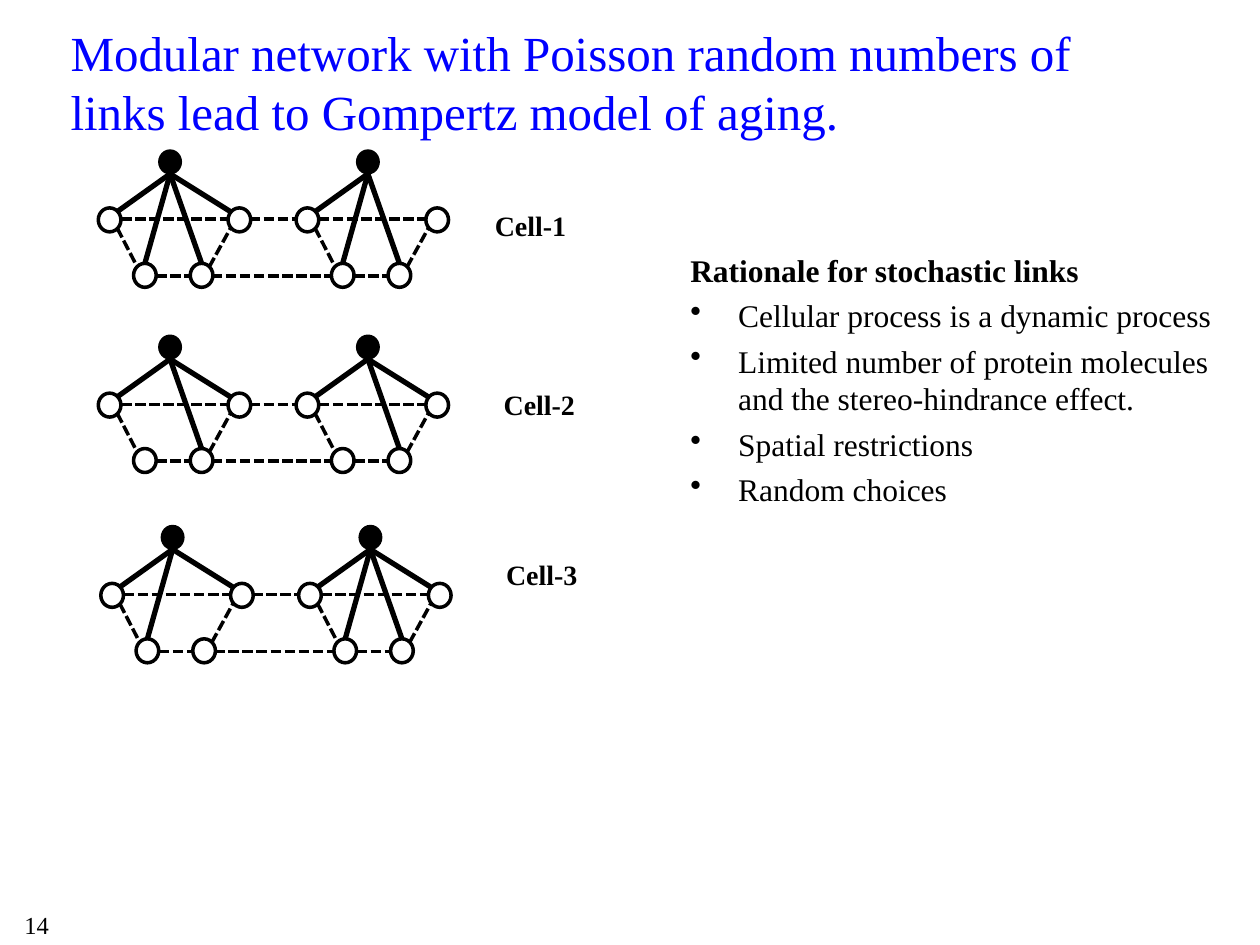
from pptx import Presentation
from pptx.dml.color import RGBColor
from pptx.enum.dml import MSO_LINE
from pptx.enum.shapes import MSO_CONNECTOR, MSO_SHAPE
from pptx.enum.text import MSO_ANCHOR, PP_ALIGN
from pptx.oxml.ns import qn
from pptx.util import Inches, Pt

OVAL, STRAIGHT = MSO_SHAPE.OVAL, MSO_CONNECTOR.STRAIGHT
DASH = MSO_LINE.SQUARE_DOT
TOP, LEFT, CENTER = MSO_ANCHOR.TOP, PP_ALIGN.LEFT, PP_ALIGN.CENTER
FONT = "Times New Roman"
COLORS = {"title": "0000FF", "ink": "000000"}

TITLE = "Modular network with Poisson random numbers of links lead to Gompertz model of aging."
HEADING = "Rationale for stochastic links"
REASONS = [
    "Cellular process is a dynamic process",
    "Limited number of protein molecules and the stereo-hindrance effect.",
    "Spatial restrictions",
    "Random choices",
]
PAGE = "14"

ALL = ("left", "low left", "low right", "right")
CELLS = [
    {"label": "Cell-1", "at": (0.78, 1.19), "label_at": (3.82, 1.61),
     "links": [ALL, ("left", "low left", "low right")]},
    {"label": "Cell-2", "at": (0.78, 2.66), "label_at": (3.89, 3.03),
     "links": [("left", "low right", "right")] * 2},
    {"label": "Cell-3", "at": (0.80, 4.17), "label_at": (3.91, 4.38),
     "links": [("left", "low left", "right"), ALL]},
]

MODULE_PITCH = 1.57
NODE_W, NODE_H = 0.18, 0.19
HUB = (0.48, 0)
HUB_FOOT = (0.57, 0.19)
NODES = [(0.73, 0.9), (0.28, 0.9), (0, 0.46), (1.03, 0.46)]
LINK_ENDS = {"left": (0.15, 0.49), "low left": (0.37, 0.9),
             "low right": (0.82, 0.9), "right": (1.05, 0.49)}
RING = [((0.88, 0.93), (1.05, 0.62)), ((0.46, 1), (0.73, 1)),
        ((0.18, 0.55), (1.03, 0.55)), ((0.15, 0.62), (0.31, 0.93))]
BRIDGES = [((1.2, 0.55), (1.57, 0.55)), ((0.9, 1), (1.85, 1))]


def rgb(name):
    return RGBColor.from_string(COLORS[name])


def style(p, size, color="ink", bold=False, align=LEFT):
    p.alignment = align
    for r in p.runs:
        r.font.name, r.font.size, r.font.bold = FONT, Pt(size), bold
        r.font.color.rgb = rgb(color)


def add_text(s, text, box, size, bold=False, wrap=True):
    tf = s.shapes.add_textbox(*map(Inches, box)).text_frame
    tf.word_wrap = wrap
    tf.text = text
    style(tf.paragraphs[0], size, bold=bold, align=CENTER)


def add_node(s, origin, offset, filled=False):
    x, y = origin[0] + offset[0], origin[1] + offset[1]
    sp = s.shapes.add_shape(OVAL, Inches(x), Inches(y), Inches(NODE_W), Inches(NODE_H))
    sp.shadow.inherit = False
    sp.line.color.rgb = rgb("ink")
    sp.line.width = Pt(0.75 if filled else 2)
    if filled:
        sp.fill.solid()
        sp.fill.fore_color.rgb = rgb("ink")
    else:
        sp.fill.background()


def add_line(s, origin, start, end, dashed=False):
    ends = [Inches(o + d) for point in (start, end) for o, d in zip(origin, point)]
    line = s.shapes.add_connector(STRAIGHT, *ends)
    line.line.color.rgb = rgb("ink")
    line.line.width = Pt(2 if dashed else 3)
    if dashed:
        line.line.dash_style = DASH
    sp_pr = line._element.spPr
    sp_pr.append(sp_pr.makeelement(qn("a:effectLst"), {}))


def add_module(s, origin, links):
    add_node(s, origin, HUB, filled=True)
    for node in NODES:
        add_node(s, origin, node)
    for link in links:
        add_line(s, origin, HUB_FOOT, LINK_ENDS[link])
    for start, end in RING:
        add_line(s, origin, start, end, dashed=True)


def add_cell(s, cell):
    x, y = cell["at"]
    for i, links in enumerate(cell["links"]):
        add_module(s, (x + i * MODULE_PITCH, y), links)
    for start, end in BRIDGES:
        add_line(s, (x, y), start, end, dashed=True)
    add_text(s, cell["label"], (*cell["label_at"], 0.78, 0.37), 16, bold=True, wrap=False)


def add_title(s):
    sp = s.shapes.title
    sp.left, sp.top, sp.width, sp.height = map(Inches, (0.46, 0.18, 8.5, 1.29))
    tf = sp.text_frame
    tf.text = TITLE
    tf.vertical_anchor, tf.margin_top = TOP, 0
    style(tf.paragraphs[0], 28, "title")


def add_rationale(s):
    tf = s.shapes.add_textbox(*map(Inches, (5.38, 1.94, 4.62, 3.02))).text_frame
    tf.word_wrap = True
    tf.text = HEADING
    style(tf.paragraphs[0], 18, bold=True)
    for reason in REASONS:
        p = tf.add_paragraph()
        p.text = reason
        p_pr = p._p.get_or_add_pPr()
        p_pr.set("marL", str(Inches(0.38)))
        p_pr.set("indent", str(-Inches(0.38)))
        p_pr.append(p_pr.makeelement(qn("a:buChar"), {"char": "•"}))
        p.space_before = Pt(4.4)
        style(p, 18)


def main():
    prs = Presentation()
    prs.slide_width, prs.slide_height = Inches(10), Inches(7.5)
    s = prs.slides.add_slide(prs.slide_layouts[5])
    add_title(s)
    add_text(s, PAGE, (-0.45, 7.17, 1.48, 0.33), 14)
    add_rationale(s)
    for cell in CELLS:
        add_cell(s, cell)
    prs.save("out.pptx")


if __name__ == "__main__":
    main()
